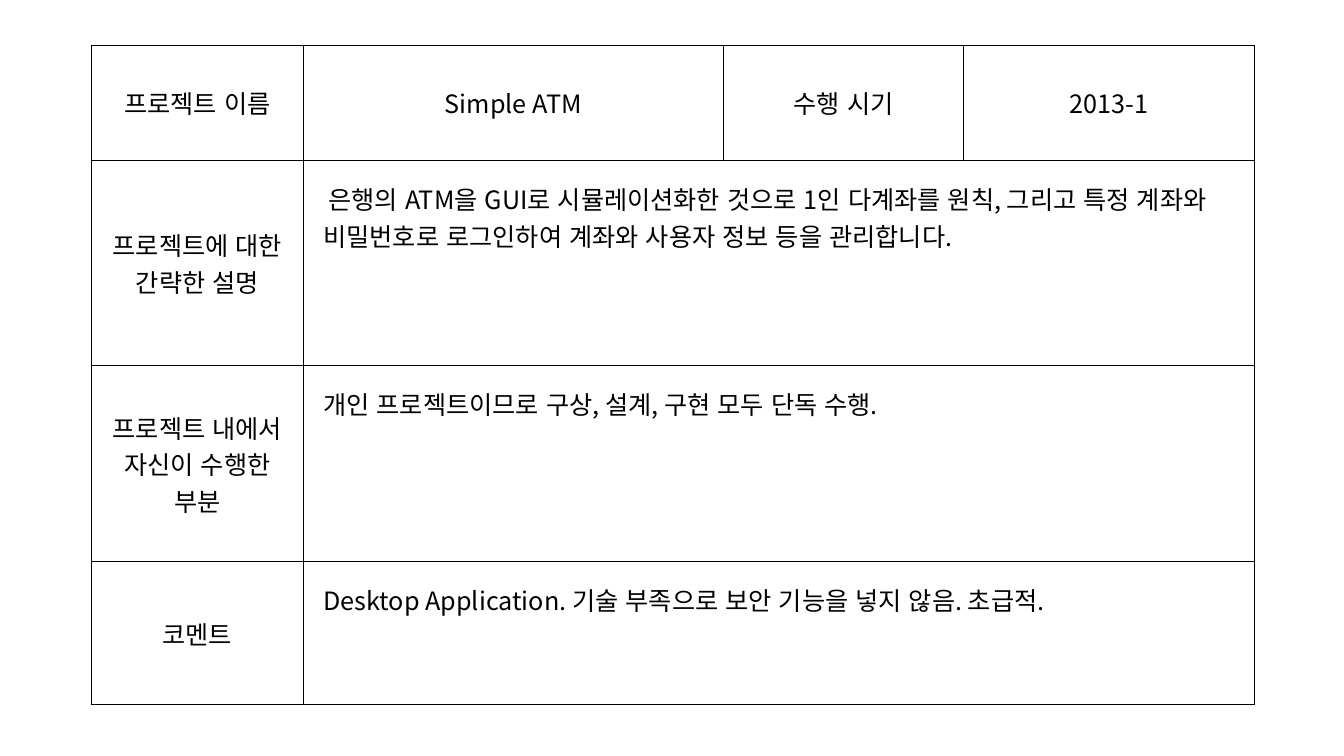
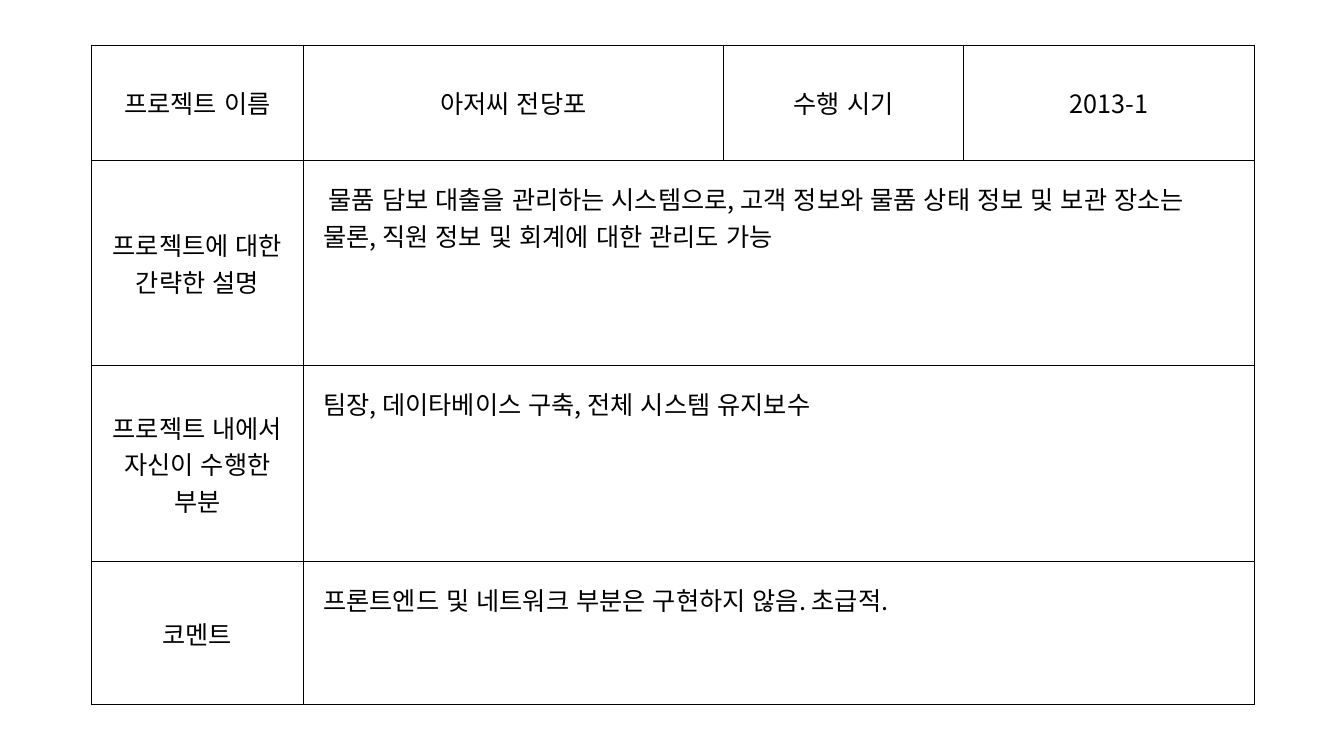
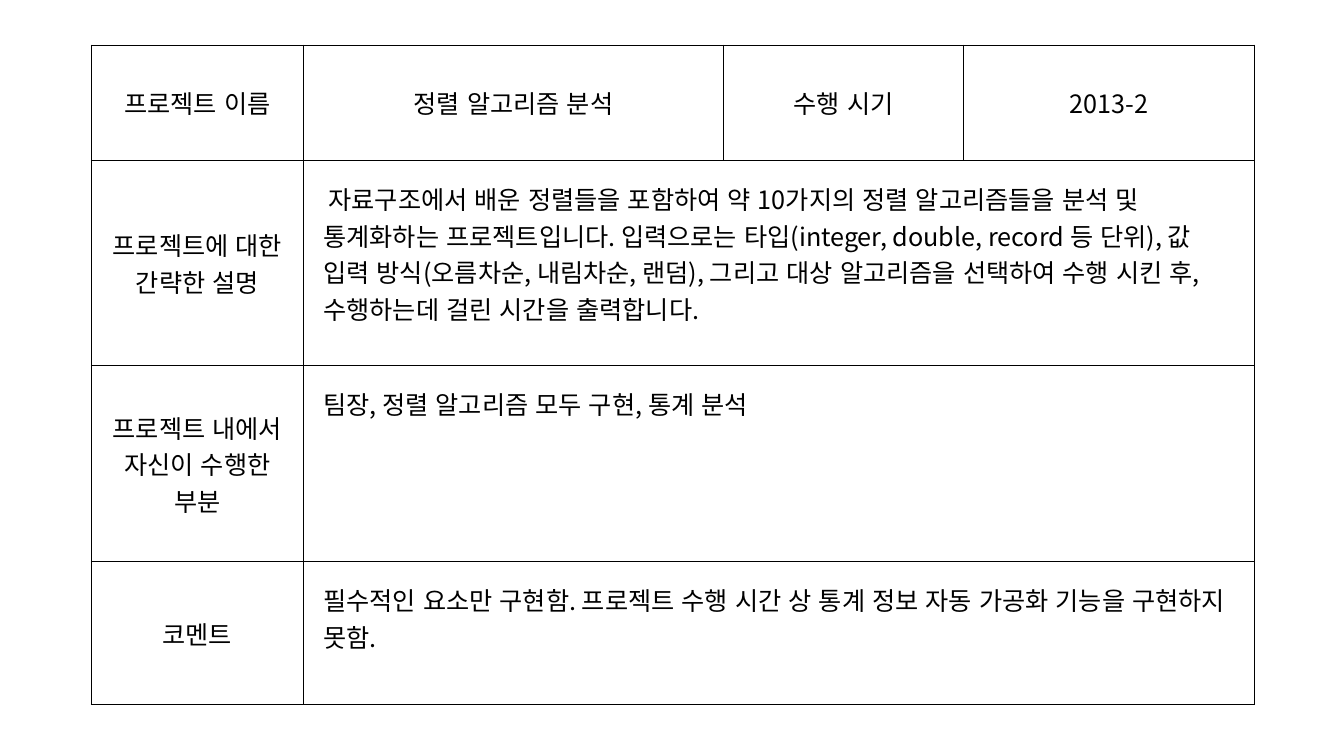
from lxml.etree import SubElement as Sub
from pptx import Presentation
from pptx.dml.color import RGBColor as RGB
from pptx.enum.lang import MSO_LANGUAGE_ID as Lang
from pptx.enum.text import MSO_ANCHOR as Anchor, PP_ALIGN as Align
from pptx.oxml.ns import qn
from pptx.util import Emu, Pt

# Content: name, term, summary, own part, comment
LABELS = ["프로젝트 이름", "프로젝트에 대한 간략한 설명",
          "프로젝트 내에서 자신이 수행한 부분", "코멘트"]
TERM = "수행 시기"
PROJECTS = [
    ("Simple ATM", "2013-1",
     "은행의 ATM을 GUI로 시뮬레이션화한 것으로 1인 다계좌를 원칙, 그리고 특정 "
     "계좌와 비밀번호로 로그인하여 계좌와 사용자 정보 등을 관리합니다.",
     "개인 프로젝트이므로 구상, 설계, 구현 모두 단독 수행.",
     "Desktop Application. 기술 부족으로 보안 기능을 넣지 않음. 초급적."),
    ("아저씨 전당포", "2013-1",
     "물품 담보 대출을 관리하는 시스템으로, 고객 정보와 물품 상태 정보 및 보관 "
     "장소는 물론, 직원 정보 및 회계에 대한 관리도 가능",
     "팀장, 데이타베이스 구축, 전체 시스템 유지보수",
     "프론트엔드 및 네트워크 부분은 구현하지 않음. 초급적."),
    ("정렬 알고리즘 분석", "2013-2",
     "자료구조에서 배운 정렬들을 포함하여 약 10가지의 정렬 알고리즘들을 분석 및 "
     "통계화하는 프로젝트입니다. 입력으로는 타입(integer, double, record 등 단위), "
     "값 입력 방식(오름차순, 내림차순, 랜덤), 그리고 대상 알고리즘을 선택하여 수행 "
     "시킨 후, 수행하는데 걸린 시간을 출력합니다.",
     "팀장, 정렬 알고리즘 모두 구현, 통계 분석",
     "필수적인 요소만 구현함. 프로젝트 수행 시간 상 통계 정보 자동 가공화 기능을 "
     "구현하지 못함."),
]

# Shared look, lengths in px (96 to the inch)
COLORS = {"ink": "000000", "paper": "FFFFFF"}
FONT, SIZE = "Noto Sans CJK KR", 18
WIDE, HIGH = 1280, 720
LEFT, TOP = 87, 43
COLS = [202, 400, 229, 277]
ROWS = [110, 195, 187, 136]
PAD, INDENT = 19, 5


def px(n):
    return Emu(n * 9525)


def frame(cell):
    """Draw all four borders and the fill of a cell."""
    props = cell._tc.get_or_add_tcPr()
    for side in ("lnL", "lnR", "lnT", "lnB"):
        line = Sub(props, qn("a:" + side), w=str(Pt(1)))
        fill = Sub(line, qn("a:solidFill"))
        Sub(fill, qn("a:srgbClr"), val=COLORS["ink"])
    cell.fill.solid()
    cell.fill.fore_color.rgb = RGB.from_string(COLORS["paper"])


def write(cell, text):
    """Set the text of a cell in the shared font."""
    cell.text = text
    para = cell.text_frame.paragraphs[0]
    font = para.font
    font.name, font.size = FONT, Pt(SIZE)
    font.language_id = Lang.KOREAN
    font.color.rgb = RGB.from_string(COLORS["ink"])
    Sub(para._p.pPr.find(qn("a:defRPr")), qn("a:ea"), typeface=FONT)
    return para


def label(cell, text):
    write(cell, text).alignment = Align.CENTER
    cell.vertical_anchor = Anchor.MIDDLE


def body(cell, text, indent):
    para = write(cell, text)
    para.alignment = Align.LEFT
    para._p.pPr.set("indent", str(px(indent)))
    cell.vertical_anchor = Anchor.TOP
    cell.margin_left = cell.margin_right = px(PAD)
    cell.margin_top = cell.margin_bottom = px(PAD)


def build(deck, name, term, *notes):
    slide = deck.slides.add_slide(deck.slide_layouts[6])
    table = slide.shapes.add_table(
        len(ROWS), len(COLS), px(LEFT), px(TOP),
        px(sum(COLS)), px(sum(ROWS))).table
    table.first_row = table.horz_banding = False
    for col, w in zip(table.columns, COLS):
        col.width = px(w)
    for row, h in zip(table.rows, ROWS):
        row.height = px(h)
    for cell in table.iter_cells():
        frame(cell)

    # Head row and label column
    for c, text in enumerate([name, TERM, term], 1):
        label(table.cell(0, c), text)
    for r, text in enumerate(LABELS):
        label(table.cell(r, 0), text)

    # Wide note cells; the summary has a first-line indent
    for r, text in enumerate(notes, 1):
        cell = table.cell(r, 1)
        cell.merge(table.cell(r, len(COLS) - 1))
        body(cell, text, INDENT if r == 1 else 0)


def main():
    deck = Presentation()
    deck.slide_width, deck.slide_height = px(WIDE), px(HIGH)
    for project in PROJECTS:
        build(deck, *project)
    deck.save("out.pptx")


if __name__ == "__main__":
    main()
